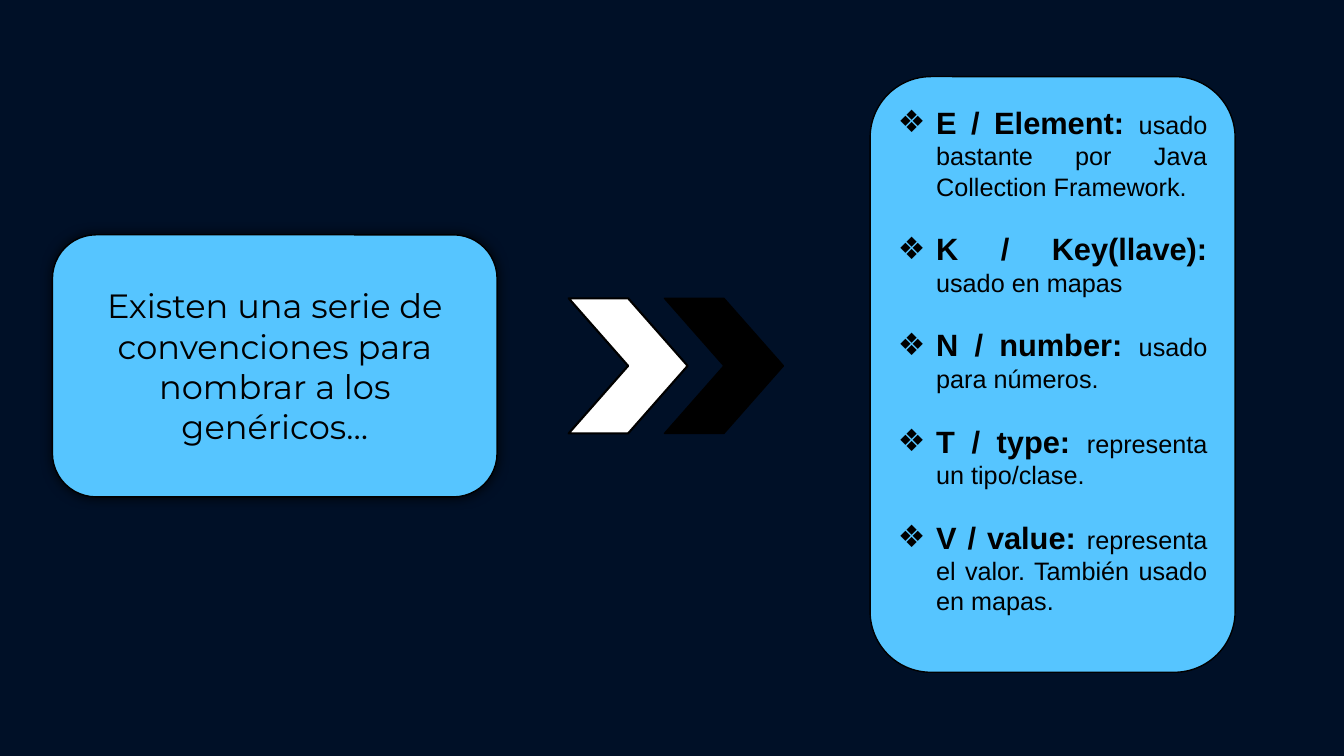
import pptx
import pptx.util
import pptx.dml.color
import pptx.enum.shapes
import pptx.enum.text
import pptx.oxml
import pptx.oxml.ns
import lxml.etree
from dataclasses import dataclass

Inches = pptx.util.Inches
Pt = pptx.util.Pt
Preset = pptx.enum.shapes.MSO_SHAPE
Align = pptx.enum.text.PP_ALIGN
qn = pptx.oxml.ns.qn


@dataclass(frozen=True)
class Theme:
    background: str = "001027"
    panel: str = "56C5FF"
    white: str = "FFFFFF"
    black: str = "000000"
    intro_font: str = "Montserrat"
    list_font: str = "Arial"
    intro_size: int = 24
    term_size: int = 22
    meaning_size: int = 18
    item_gap: float = 20.7
    hanging: float = 0.38


class SlideBuilder:
    def __init__(self, slide, theme):
        self.slide = slide
        self.theme = theme
        slide.background.fill.solid()
        slide.background.fill.fore_color.rgb = self.color(theme.background)

    @staticmethod
    def color(code):
        return pptx.dml.color.RGBColor.from_string(code)

    def shape(self, preset, left, top, width, height, fill, line_width=1):
        shape = self.slide.shapes.add_shape(
            preset, Inches(left), Inches(top), Inches(width), Inches(height))
        shape.shadow.inherit = False
        shape.fill.solid()
        shape.fill.fore_color.rgb = self.color(fill)
        shape.line.color.rgb = self.color(self.theme.black)
        shape.line.width = Pt(line_width)
        return shape

    def panel(self, preset, left, top, width, height):
        panel = self.shape(preset, left, top, width, height, self.theme.panel)
        panel.text_frame.word_wrap = True
        panel.text_frame.vertical_anchor = pptx.enum.text.MSO_ANCHOR.MIDDLE
        return panel

    def soft_shadow(self, shape):
        effects = shape.element.spPr.find(qn("a:effectLst"))
        shadow = lxml.etree.SubElement(
            effects, qn("a:outerShdw"), blurRad=str(Inches(0.12)), dist="0",
            algn="ctr", rotWithShape="0")
        black = lxml.etree.SubElement(shadow, qn("a:srgbClr"), val=self.theme.black)
        lxml.etree.SubElement(black, qn("a:alpha"), val="80000")

    def intro(self, panel, text):
        paragraph = panel.text_frame.paragraphs[0]
        paragraph.text = text
        paragraph.alignment = Align.CENTER
        paragraph.font.name = self.theme.intro_font
        paragraph.font.size = Pt(self.theme.intro_size)
        paragraph.font.color.rgb = self.color(self.theme.black)

    def bullet(self, paragraph):
        properties = paragraph._p.get_or_add_pPr()
        properties.set("marL", str(Inches(self.theme.hanging)))
        properties.set("indent", str(-Inches(self.theme.hanging)))
        lxml.etree.SubElement(properties, qn("a:buFont"), typeface=self.theme.list_font)
        lxml.etree.SubElement(properties, qn("a:buChar"), char="❖")

    def definitions(self, panel, entries):
        frame = panel.text_frame
        # Room below the list, one small line high
        frame.margin_bottom = Inches(0.34)
        for number, (term, meaning) in enumerate(entries):
            paragraph = frame.add_paragraph() if number else frame.paragraphs[0]
            paragraph.alignment = Align.JUSTIFY
            paragraph.space_before = Pt(self.theme.item_gap if number else 0)
            self.bullet(paragraph)
            paragraph.font.name = self.theme.list_font
            paragraph.font.color.rgb = self.color(self.theme.black)
            for text, size, bold in ((term + " ", self.theme.term_size, True),
                                     (meaning, self.theme.meaning_size, False)):
                run = paragraph.add_run()
                run.text = text
                run.font.size = Pt(size)
                run.font.bold = bold


def main():
    deck = pptx.Presentation()
    deck.slide_width, deck.slide_height = Inches(13.33), Inches(7.5)
    theme = Theme()
    builder = SlideBuilder(deck.slides.add_slide(deck.slide_layouts[6]), theme)

    # Double chevron between the panels
    for left, fill, line_width in ((5.64, theme.white, 1.5), (6.59, theme.black, 1)):
        builder.shape(Preset.CHEVRON, left, 2.96, 1.18, 1.34, fill, line_width)

    # Introduction
    intro_panel = builder.panel(Preset.FLOWCHART_ALTERNATE_PROCESS, 0.52, 2.33, 4.41, 2.6)
    builder.soft_shadow(intro_panel)
    builder.intro(intro_panel,
                  "Existen una serie de convenciones para nombrar a los genéricos…")

    # Naming conventions
    conventions_panel = builder.panel(Preset.ROUNDED_RECTANGLE, 8.63, 0.76, 3.62, 5.91)
    builder.definitions(conventions_panel, (
        ("E / Element:", "usado bastante por Java Collection Framework."),
        ("K / Key(llave):", "usado en mapas"),
        ("N / number:", "usado para números."),
        ("T / type:", "representa un tipo/clase."),
        ("V / value:", "representa el valor. También usado en mapas."),
    ))

    deck.save("out.pptx")


if __name__ == "__main__":
    main()
